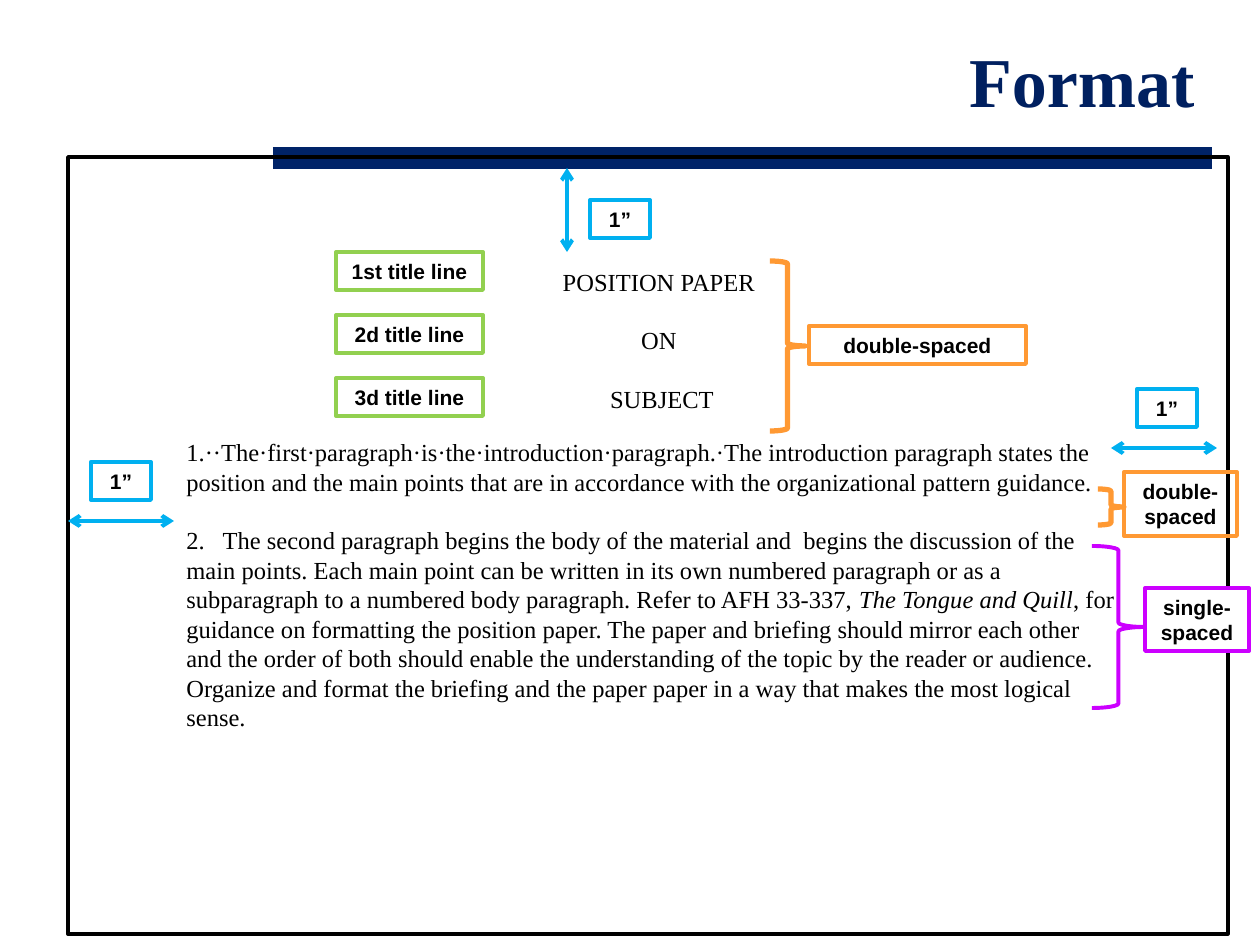
from typing import NamedTuple, Optional

from lxml import etree
from pptx import Presentation
from pptx import util as u
from pptx.dml.color import RGBColor
from pptx.enum import shapes, text
from pptx.oxml.ns import qn

EMU_PER_PX = 914400 / 126
NAVY = RGBColor(0x00, 0x20, 0x60)
BAR_BLUE = RGBColor(0x00, 0x23, 0x68)
BLACK = RGBColor(0x00, 0x00, 0x00)
WHITE = RGBColor(0xFF, 0xFF, 0xFF)
GREEN = RGBColor(0x92, 0xD0, 0x50)
ORANGE = RGBColor(0xFF, 0x99, 0x33)
PURPLE = RGBColor(0xCC, 0x00, 0xFF)
SKY = RGBColor(0x00, 0xB0, 0xF0)

SERIF = "Times New Roman"
TITLE_FONT = {"name": SERIF, "size": u.Pt(40), "bold": True}
PAPER_FONT = {"name": SERIF, "size": u.Pt(14)}
LABEL_FONT = {"name": "Arial", "size": u.Pt(12), "bold": True}


class Box(NamedTuple):
    left: int
    top: int
    width: int
    height: int


class Label(NamedTuple):
    words: str
    box: Box
    color: RGBColor
    fill: Optional[RGBColor] = None


class Brace(NamedTuple):
    box: Box
    color: RGBColor
    weight: float


class Line(NamedTuple):
    x1: int
    y1: int
    x2: int
    y2: int


INCH_SIZE = (60, 38)
LABELS = [
    *(Label(f"{rank} title line", Box(336, 252 + 63 * row, 147, 38), GREEN)
      for row, rank in enumerate(("1st", "2d", "3d"))),
    *(Label("1”", Box(left, top, *INCH_SIZE), SKY)
      for left, top in ((91, 462), (1137, 389), (590, 200))),
    Label("double-spaced", Box(809, 326, 217, 38), ORANGE),
    Label("double-spaced", Box(1124, 472, 113, 64), ORANGE),
    Label("single-spaced", Box(1145, 588, 104, 63), PURPLE, WHITE),
]
BRACES = [
    Brace(Box(770, 261, 35, 170), ORANGE, 3),
    Brace(Box(1092, 546, 53, 162), PURPLE, 2.25),
    Brace(Box(1098, 489, 26, 36), ORANGE, 3),
]
MARGIN_ARROWS = [
    Line(68, 521, 174, 521),
    Line(1111, 448, 1217, 448),
    Line(567, 168, 567, 252),
]
TITLE_LINES = ("POSITION PAPER ", "ON ", "SUBJECT")
# Each paragraph is a list of (words, italic) pairs.
BODY = [
    [("1.··The·first·paragraph·is·the·introduction·paragraph.·The introduction "
      "paragraph states the position and the main points that are in accordance "
      "with the organizational pattern guidance.", False)],
    [("2.   The second paragraph begins the body of the material and  begins the "
      "discussion of the main points. Each main point can be written in its own "
      "numbered paragraph or as a subparagraph to a numbered body paragraph. "
      "Refer to AFH 33-337, ", False),
     ("The Tongue and Quill", True),
     (", for guidance on formatting the position paper. The paper and briefing "
      "should mirror each other and the order of both should enable the "
      "understanding of the topic by the reader or audience. Organize and format "
      "the briefing and the paper paper in a way that makes the most logical "
      "sense.", False)],
]


def px(length: int) -> u.Emu:
    return u.Emu(round(length * EMU_PER_PX))


def emu(lengths: tuple) -> list:
    return [px(length) for length in lengths]


def apply(target, values: dict) -> None:
    for name, value in values.items():
        setattr(target, name, value)


def add_span(para, words: str, font: dict, color=BLACK, italic=False) -> None:
    span = para.add_run()
    span.text = words
    apply(span.font, {**font, "italic": italic})
    span.font.color.rgb = color


def add_outline(page, kind, box: Box, color: RGBColor, weight: float, fill=None):
    shape = page.shapes.add_shape(kind, *emu(box))
    shape.shadow.inherit = False
    if fill is None:
        shape.fill.background()
    else:
        shape.fill.solid()
        shape.fill.fore_color.rgb = fill
    shape.line.color.rgb = color
    shape.line.width = u.Pt(weight)
    return shape


def add_label(page, label: Label) -> None:
    shape = add_outline(page, shapes.MSO_SHAPE.RECTANGLE, label.box,
                        label.color, 2.25, label.fill)
    apply(shape.text_frame, {"word_wrap": True,
                             "vertical_anchor": text.MSO_ANCHOR.MIDDLE})
    para = shape.text_frame.paragraphs[0]
    para.alignment = text.PP_ALIGN.CENTER
    add_span(para, label.words, LABEL_FONT)


def add_line(page, line: Line, color: RGBColor, weight: float, arrows=False) -> None:
    connector = page.shapes.add_connector(
        shapes.MSO_CONNECTOR.STRAIGHT, *emu(line))
    connector.line.color.rgb = color
    connector.line.width = u.Pt(weight)
    if arrows:
        for end in ("a:headEnd", "a:tailEnd"):
            etree.SubElement(connector.line._ln, qn(end), type="arrow")
    etree.SubElement(connector._element.spPr, qn("a:effectLst"))


def add_paper_text(page, box: Box, paragraphs: list, **para_format) -> None:
    """Add serif paragraphs; space_before applies only between them."""
    gap = para_format.pop("space_before", u.Pt(0))
    frame = page.shapes.add_textbox(*emu(box)).text_frame
    frame.word_wrap = True
    for index, spans in enumerate(paragraphs):
        para = frame.add_paragraph() if index else frame.paragraphs[0]
        apply(para, {**para_format, "space_before": gap if index else u.Pt(0)})
        for words, italic in spans:
            add_span(para, words, PAPER_FONT, italic=italic)


def set_title(page, words: str) -> None:
    title = page.shapes.title
    apply(title, dict(zip(("left", "top", "width", "height"),
                          emu(Box(73, 0, 1134, 158)))))
    apply(title.text_frame, {"auto_size": text.MSO_AUTO_SIZE.NONE,
                             "vertical_anchor": text.MSO_ANCHOR.MIDDLE})
    para = title.text_frame.paragraphs[0]
    para.alignment = text.PP_ALIGN.RIGHT
    add_span(para, words, TITLE_FONT, NAVY)


def main() -> None:
    deck = Presentation()
    apply(deck, {"slide_width": px(1260), "slide_height": px(945)})
    page = deck.slides.add_slide(deck.slide_layouts.get_by_name("Title Only"))
    set_title(page, "Format")
    add_line(page, Line(273, 158, 1212, 158), BAR_BLUE, 12.25)
    add_paper_text(page, Box(347, 231, 630, 190),
                   [[(words, False)] for words in TITLE_LINES],
                   alignment=text.PP_ALIGN.CENTER, line_spacing=2.0)
    add_paper_text(page, Box(174, 431, 955, 310), BODY, space_before=u.Pt(16.8))
    add_outline(page, shapes.MSO_SHAPE.RECTANGLE, Box(68, 157, 1160, 777), BLACK, 2)
    for label in LABELS:
        add_label(page, label)
    for brace in BRACES:
        add_outline(page, shapes.MSO_SHAPE.RIGHT_BRACE, *brace)
    for arrow in MARGIN_ARROWS:
        add_line(page, arrow, SKY, 2.25, arrows=True)
    deck.save("out.pptx")


if __name__ == "__main__":
    main()
